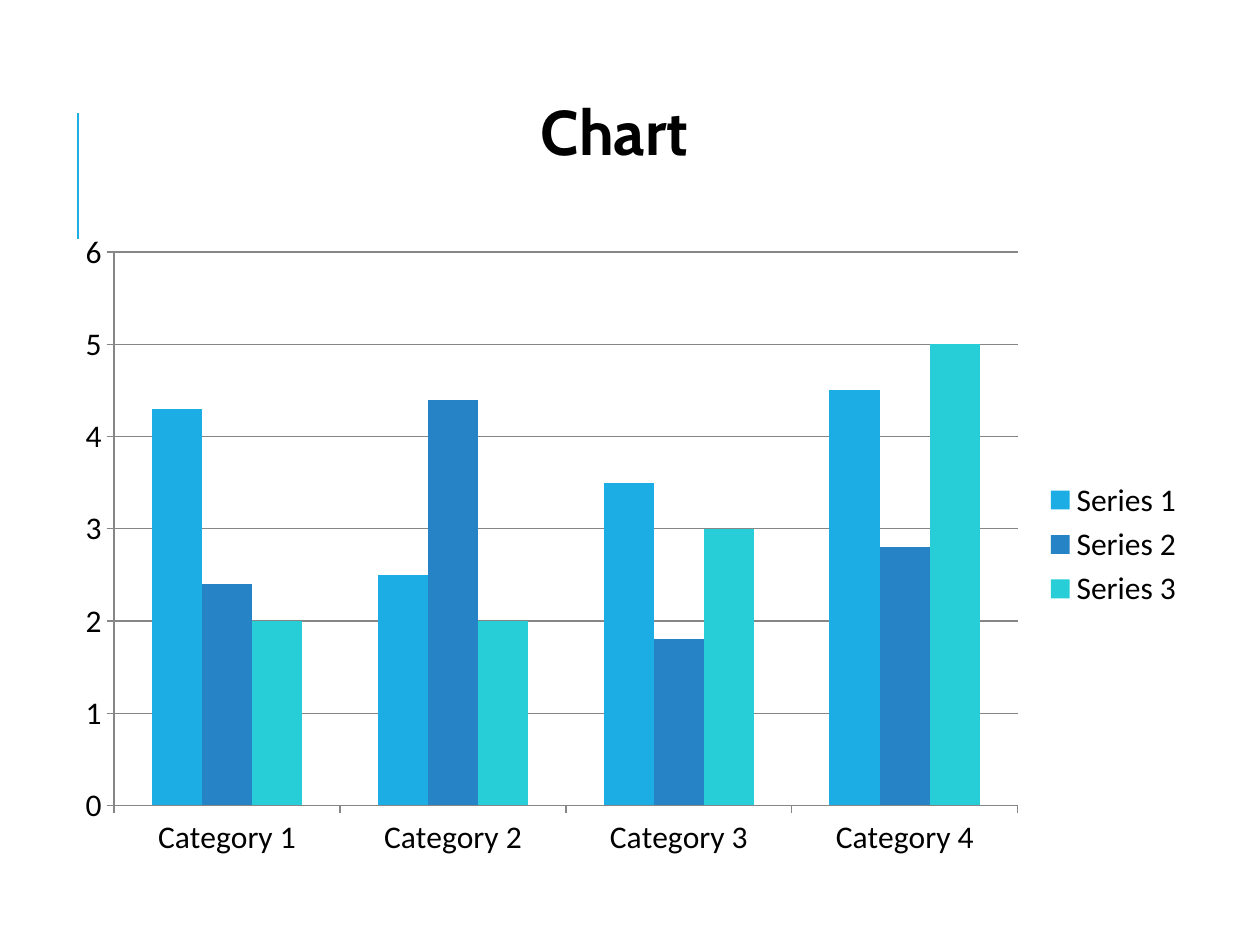
from lxml import etree
from pptx import Presentation
from pptx.chart.data import CategoryChartData
from pptx.dml.color import RGBColor
from pptx.enum.chart import XL_CHART_TYPE, XL_LEGEND_POSITION, XL_TICK_MARK
from pptx.enum.shapes import MSO_CONNECTOR
from pptx.enum.text import MSO_ANCHOR, MSO_AUTO_SIZE, PP_ALIGN
from pptx.oxml.ns import qn
from pptx.util import Emu, Pt

COLUMNS = XL_CHART_TYPE.COLUMN_CLUSTERED
LEGEND_RIGHT = XL_LEGEND_POSITION.RIGHT
TICK_OUTSIDE = XL_TICK_MARK.OUTSIDE
STRAIGHT = MSO_CONNECTOR.STRAIGHT
TOP = MSO_ANCHOR.TOP
FIT_SHAPE = MSO_AUTO_SIZE.SHAPE_TO_FIT_TEXT
CENTER = PP_ALIGN.CENTER

PX_PER_INCH = 126
COLORS = {
    "text": "000000",
    "accent": "1CADE4",
    "grid": "868686",
    "Series 1": "1CADE4",
    "Series 2": "2683C6",
    "Series 3": "27CED7",
}
TITLE_FONT = {"name": "Cabin", "size": Pt(36), "bold": True}
CHART_FONT = {"name": "Calibri", "size": Pt(18), "bold": False}

CATEGORIES = ["Category 1", "Category 2", "Category 3", "Category 4"]
SERIES = {
    "Series 1": (4.3, 2.5, 3.5, 4.5),
    "Series 2": (2.4, 4.4, 1.8, 2.8),
    "Series 3": (2, 2, 3, 5),
}


def px(length):
    return Emu(round(length * 914400 / PX_PER_INCH))


def color(name):
    return RGBColor.from_string(COLORS[name])


def set_font(font, formats):
    for attribute, value in formats.items():
        setattr(font, attribute, value)
    font.color.rgb = color("text")


def set_line(line, name, width):
    line.color.rgb = color(name)
    line.width = Pt(width)


def add_accent_line(page, left, top, height):
    accent = page.shapes.add_connector(
        STRAIGHT, px(left), px(top + height), px(left), px(top))
    set_line(accent.line, "accent", 1.5)
    etree.SubElement(accent._element.spPr, qn("a:effectLst"))


def add_column_chart(page, left, top, width, height):
    data = CategoryChartData()
    data.categories = CATEGORIES
    for name, values in SERIES.items():
        data.add_series(name, values)
    chart = page.shapes.add_chart(
        COLUMNS, px(left), px(top), px(width), px(height), data).chart
    set_font(chart.font, CHART_FONT)
    chart.has_title = False

    # Columns
    plot = chart.plots[0]
    plot.gap_width = 150
    plot.overlap = 0
    plot.vary_by_categories = False
    for series in plot.series:
        series.invert_if_negative = False
        series.format.fill.solid()
        series.format.fill.fore_color.rgb = color(series.name)

    # Axes and gridlines
    scale = chart.value_axis
    scale.minimum_scale, scale.maximum_scale, scale.major_unit = 0, 6, 1
    scale.has_major_gridlines = True
    set_line(scale.major_gridlines.format.line, "grid", 0.75)
    for axis in (chart.category_axis, scale):
        axis.major_tick_mark = TICK_OUTSIDE
        set_line(axis.format.line, "grid", 0.75)

    # Legend
    chart.has_legend = True
    chart.legend.position = LEGEND_RIGHT
    chart.legend.include_in_layout = False


def add_title(page, left, top, width, height):
    box = page.shapes.add_textbox(px(left), px(top), px(width), px(height))
    frame = box.text_frame
    frame.word_wrap = True
    frame.auto_size = FIT_SHAPE
    frame.vertical_anchor = TOP
    para = frame.paragraphs[0]
    para.alignment = CENTER
    span = para.add_run()
    span.text = "Chart"
    set_font(span.font, TITLE_FONT)


def main():
    deck = Presentation()
    deck.slide_width, deck.slide_height = px(1260), px(945)
    page = deck.slides.add_slide(deck.slide_layouts[6])
    add_accent_line(page, 78, 113, 126)
    add_column_chart(page, 63, 220, 1134, 649)
    add_title(page, 471, 86, 287, 89)
    deck.save("out.pptx")


if __name__ == "__main__":
    main()
